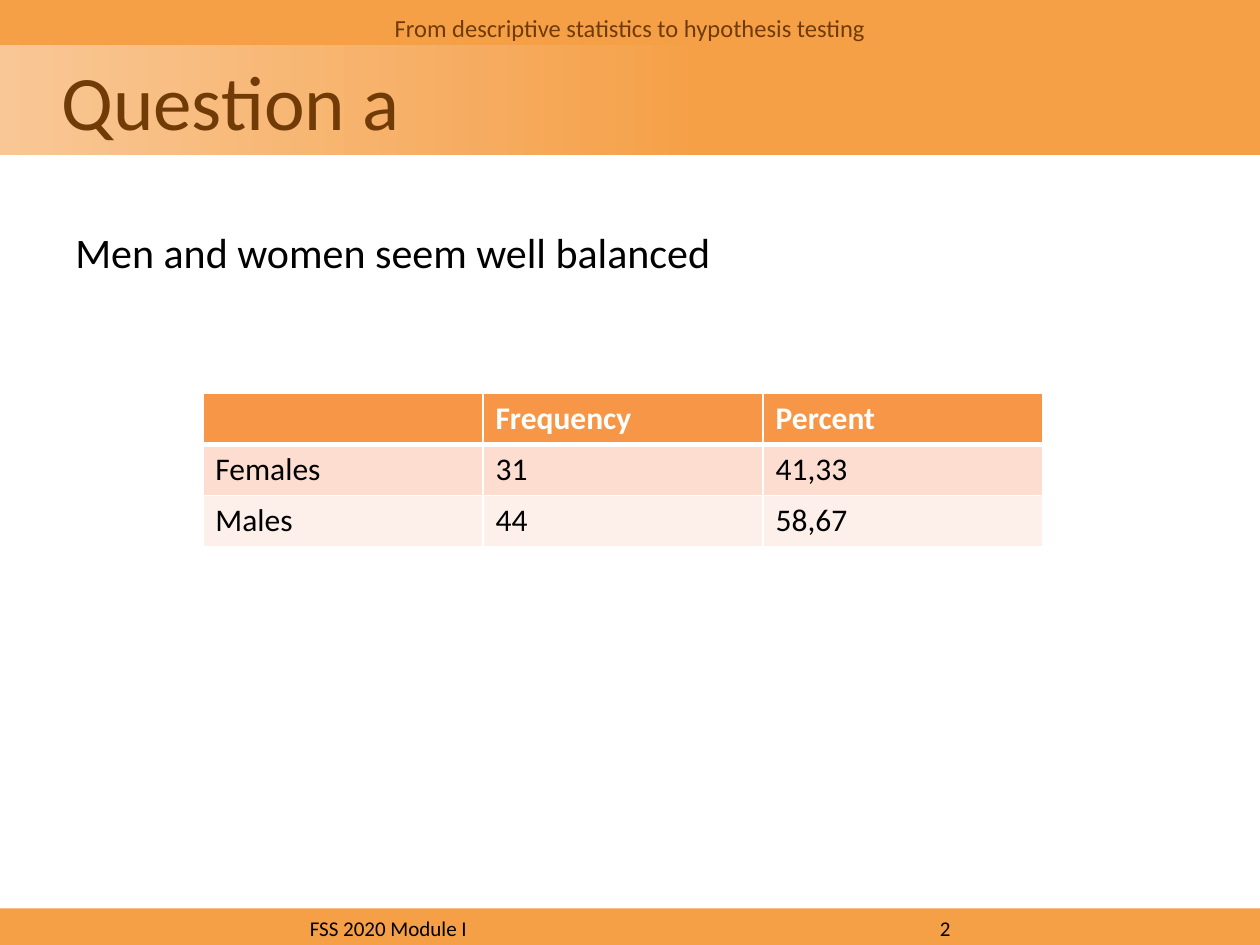
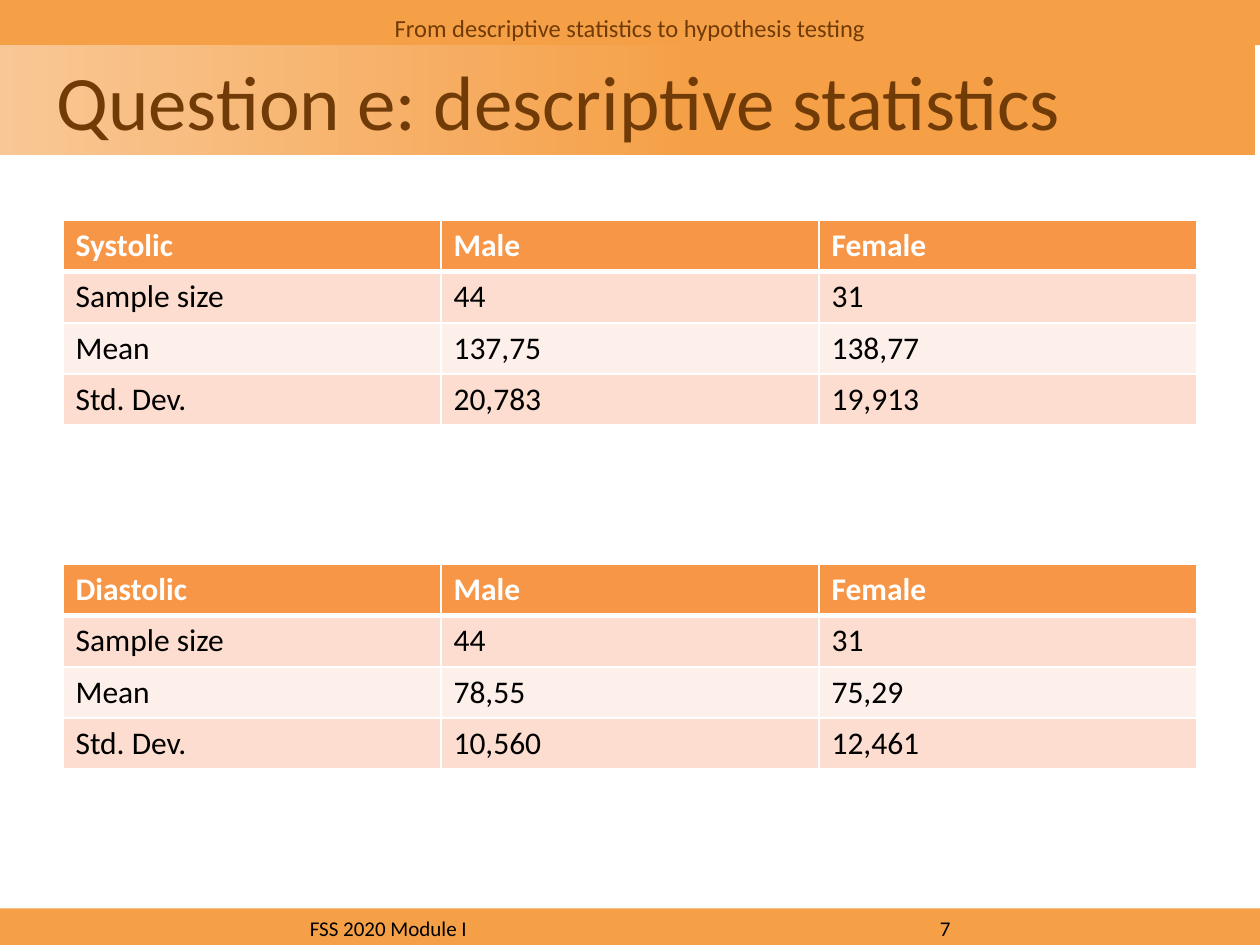
import pptx
import pptx.util
import pptx.dml.color
import pptx.enum.shapes
import pptx.enum.text
import pptx.oxml
import pptx.oxml.ns
import lxml.etree

ink = {"band": "F5A047", "glow": "F9C795", "brown": "703B06", "black": "000000",
       "white": "FFFFFF", "head": "F79646", "odd": "FCDDCF", "even": "FDEFE9"}
hue = {key: pptx.dml.color.RGBColor.from_string(code) for key, code in ink.items()}
align = pptx.enum.text.PP_ALIGN
anchor = pptx.enum.text.MSO_ANCHOR
rect = pptx.enum.shapes.MSO_SHAPE.RECTANGLE

deck = pptx.Presentation()
deck.slide_width = pptx.util.Inches(10)
deck.slide_height = pptx.util.Inches(7.5)
unit = deck.slide_width / 100
row_high = 4.06

fonts = {
    "title": {"size": 44, "color": "brown", "bold": False},
    "topic": {"size": 14, "color": "brown", "bold": False},
    "body": {"size": 24, "color": "black", "bold": False},
    "foot": {"size": 12, "color": "black", "bold": False},
    "head": {"size": 18, "color": "white", "bold": True},
    "cell": {"size": 18, "color": "black", "bold": False},
}

pages = [
    {"title": "Question a", "left": 0, "number": 2,
     "body": "Men and women seem well balanced",
     "tables": [(16.1, 31.2, 66.7, [["", "Frequency", "Percent"],
                                    ["Females", "31", "41,33"],
                                    ["Males", "44", "58,67"]])]},
    {"title": "Question e: descriptive statistics", "left": -0.4, "number": 7,
     "body": None,
     "tables": [(5, 17.5, 90, [["Systolic", "Male", "Female"],
                               ["Sample size", "44", "31"],
                               ["Mean", "137,75", "138,77"],
                               ["Std. Dev.", "20,783", "19,913"]]),
                (5, 44.8, 90, [["Diastolic", "Male", "Female"],
                               ["Sample size", "44", "31"],
                               ["Mean", "78,55", "75,29"],
                               ["Std. Dev.", "10,560", "12,461"]])]},
]


def grid(*spans):
    return [round(span * unit) for span in spans]


def write(frame, text, style, side=align.LEFT):
    frame.word_wrap = True
    para = frame.paragraphs[0]
    para.alignment = side
    look = fonts[style]
    values = {"name": "Calibri", "size": pptx.util.Pt(look["size"]), "bold": look["bold"]}
    run = para.add_run() if text else para
    run.text = text
    for name, value in values.items():
        setattr(run.font, name, value)
    run.font.color.rgb = hue[look["color"]]
    return para


for page in pages:
    slide = deck.slides.add_slide(deck.slide_layouts[6])
    shapes = slide.shapes

    bands = {"top": (0, 0, 100, 3.6), "title": (page["left"], 3.6, 100, 8.7),
             "foot": (0, 72.1, 100, 3.1)}
    for name, place in bands.items():
        band = shapes.add_shape(rect, *grid(*place))
        band.shadow.inherit = False
        band.line.fill.background()
        band.fill.solid()
        band.fill.fore_color.rgb = hue["band"]
        frame = band.text_frame
        frame.vertical_anchor = anchor.MIDDLE
        if name == "title":
            band.fill.gradient()
            band.fill.gradient_angle = 0
            stops = zip(band.fill.gradient_stops, [(0, "glow"), (0.56, "band")])
            for stop, (share, tone) in stops:
                stop.position = share
                stop.color.rgb = hue[tone]
            para = write(frame, page["title"], "title")
            para._p.get_or_add_pPr().set("marL", str(grid(3.9)[0]))
        elif name == "foot":
            frame.margin_left = grid(24.6)[0]
            para = write(frame, f"FSS 2020 Module I\t{page['number']}", "foot")
            tabs = lxml.etree.SubElement(para._p.get_or_add_pPr(), pptx.oxml.ns.qn("a:tabLst"))
            lxml.etree.SubElement(tabs, pptx.oxml.ns.qn("a:tab"),
                                  pos=str(grid(50)[0]), algn="l")

    topic = shapes.add_textbox(*grid(0, 0.5, 100, 3.8))
    write(topic.text_frame, "From descriptive statistics to hypothesis testing", "topic", align.CENTER)
    if page["body"]:
        body = shapes.add_textbox(*grid(5, 17.5, 90, 31.8))
        write(body.text_frame, page["body"], "body")

    for left, top, wide, rows in page["tables"]:
        place = grid(left, top, wide, row_high * len(rows))
        table = shapes.add_table(len(rows), len(rows[0]), *place).table
        for r, texts in enumerate(rows):
            table.rows[r].height = grid(row_high)[0]
            for c, text in enumerate(texts):
                cell = table.cell(r, c)
                trim = cell._tc.get_or_add_tcPr()
                lines = {"L": 1, "R": 1, "T": 3 if r == 1 else 1, "B": 3 if r == 0 else 1}
                for side, thick in lines.items():
                    edge = lxml.etree.SubElement(trim, pptx.oxml.ns.qn("a:ln" + side),
                                                 w=str(pptx.util.Pt(thick)))
                    fill = lxml.etree.SubElement(edge, pptx.oxml.ns.qn("a:solidFill"))
                    lxml.etree.SubElement(fill, pptx.oxml.ns.qn("a:srgbClr"), val=ink["white"])
                cell.fill.solid()
                tone = "head" if r == 0 else "odd" if r % 2 else "even"
                cell.fill.fore_color.rgb = hue[tone]
                write(cell.text_frame, text, "head" if r == 0 else "cell")

deck.save("out.pptx")
